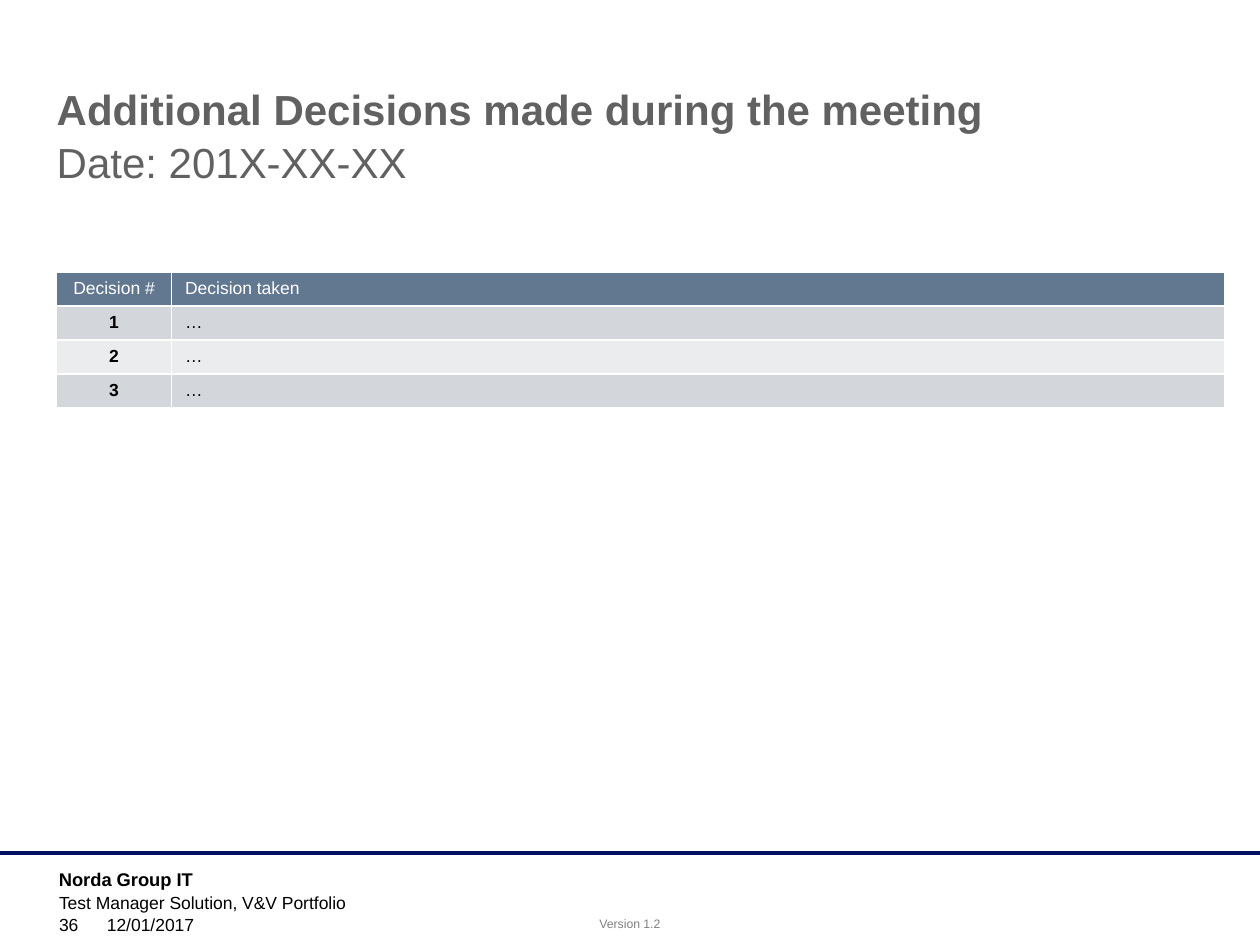
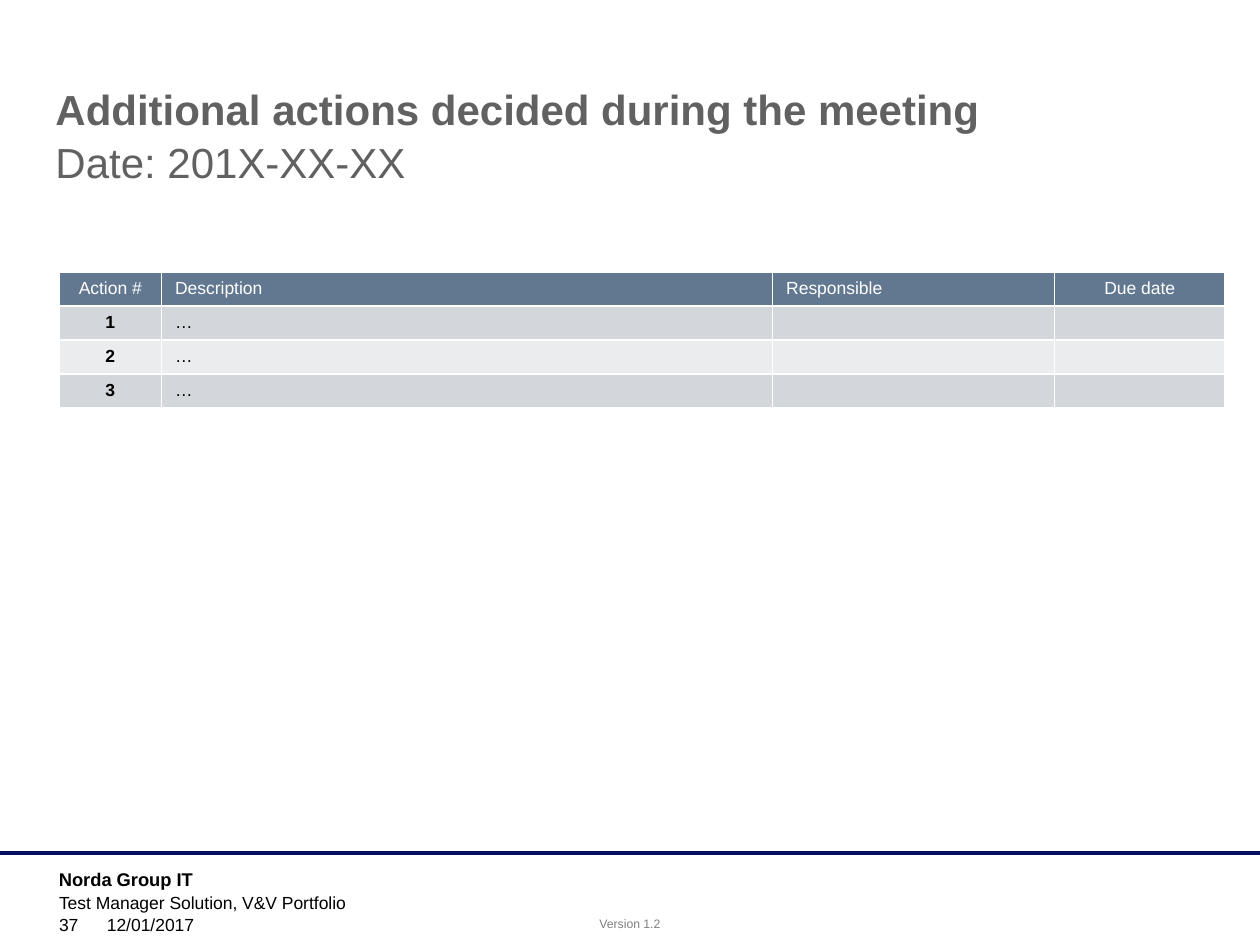
import pptx
import pptx.dml.color
import pptx.enum.shapes
import pptx.enum.text
import pptx.oxml.ns
import pptx.util
from lxml import etree

Inches = pptx.util.Inches
Pt = pptx.util.Pt
qn = pptx.oxml.ns.qn
ALIGN = pptx.enum.text.PP_ALIGN
ANCHOR = pptx.enum.text.MSO_ANCHOR

FONT = "Arial"
BLACK = "000000"
WHITE = "FFFFFF"
TITLE_GRAY = "616161"
VERSION_GRAY = "808080"
RULE_NAVY = "000F60"
HEADER_BLUE = "627890"
BANDS = ("D3D6DB", "EAECEE")

TABLE_TOP = 2.16
ROW_HEIGHT = 0.27
FOOTER_TOP = 6.77


def color(hex_text):
    return pptx.dml.color.RGBColor.from_string(hex_text)


def format_font(font, size, hex_text, bold=False):
    font.name = FONT
    font.size = Pt(size)
    font.bold = bold
    font.color.rgb = color(hex_text)


def add_text(slide, box, text, size, hex_text=BLACK, bold=False,
             align=ALIGN.LEFT, anchor=ANCHOR.TOP, wrap=True):
    shape = slide.shapes.add_textbox(*map(Inches, box))
    frame = shape.text_frame
    frame.text = text
    frame.word_wrap = wrap
    frame.vertical_anchor = anchor
    paragraph = frame.paragraphs[0]
    paragraph.alignment = align
    format_font(paragraph.runs[0].font, size, hex_text, bold)


def add_title(slide, box, heading):
    title = slide.shapes.title
    title.left, title.top, title.width, title.height = map(Inches, box)
    frame = title.text_frame
    frame.text = f"{heading}\vDate: 201X-XX-XX"
    frame.word_wrap = True
    frame.auto_size = pptx.enum.text.MSO_AUTO_SIZE.NONE
    frame.vertical_anchor = ANCHOR.TOP
    paragraph = frame.paragraphs[0]
    paragraph.alignment = ALIGN.LEFT
    paragraph.line_spacing = 1.04
    for run, bold in zip(paragraph.runs, (True, False)):
        format_font(run.font, 24, TITLE_GRAY, bold)


def add_borders(cell):
    properties = cell._tc.get_or_add_tcPr()
    for side in ("lnL", "lnR", "lnT", "lnB"):
        line = etree.SubElement(properties, qn(f"a:{side}"), w=str(Pt(1)))
        fill = etree.SubElement(line, qn("a:solidFill"))
        etree.SubElement(fill, qn("a:srgbClr"), val=WHITE)


def format_cell(cell, text, fill, hex_text, bold, centered):
    add_borders(cell)
    cell.fill.solid()
    cell.fill.fore_color.rgb = color(fill)
    cell.margin_left = cell.margin_right = Inches(0.11)
    cell.margin_top = cell.margin_bottom = Inches(0.05)
    cell.text = text
    paragraph = cell.text_frame.paragraphs[0]
    paragraph.alignment = ALIGN.CENTER if centered else ALIGN.LEFT
    for run in paragraph.runs:
        format_font(run.font, 10, hex_text, bold)
    if not text:
        etree.SubElement(paragraph._p, qn("a:endParaRPr"), sz="1000")


def add_log_table(slide, left, headers, widths, centered_columns):
    blanks = [""] * (len(headers) - 2)
    rows = [headers] + [[str(number), "…"] + blanks for number in range(1, 4)]
    table = slide.shapes.add_table(
        len(rows), len(headers), Inches(left), Inches(TABLE_TOP),
        Inches(sum(widths)), Inches(ROW_HEIGHT * len(rows))).table
    for column, width in zip(table.columns, widths):
        column.width = Inches(width)
    for row_index, row in enumerate(rows):
        is_header = row_index == 0
        fill = HEADER_BLUE if is_header else BANDS[(row_index - 1) % 2]
        for column_index, text in enumerate(row):
            format_cell(table.cell(row_index, column_index), text, fill,
                        WHITE if is_header else BLACK,
                        not is_header and column_index == 0,
                        column_index in centered_columns)


def add_footer(slide, top, page_number):
    rule = slide.shapes.add_connector(
        pptx.enum.shapes.MSO_CONNECTOR.STRAIGHT,
        0, Inches(top), Inches(10), Inches(top))
    rule.line.color.rgb = color(RULE_NAVY)
    rule.line.width = Pt(2)
    etree.SubElement(rule._element.spPr, qn("a:effectLst"))
    add_text(slide, (0.37, top + 0.07, 2.33, 0.24), "Norda Group IT", 10.5,
             bold=True, wrap=False)
    add_text(slide, (4.65, top + 0.45, 0.7, 0.22), "Version 1.2", 7,
             VERSION_GRAY, align=ALIGN.CENTER, wrap=False)
    add_text(slide, (0.37, top + 0.26, 7.52, 0.24),
             "Test Manager Solution, V&V Portfolio", 10)
    add_text(slide, (0.37, top + 0.47, 0.55, 0.23), str(page_number), 10,
             anchor=ANCHOR.BOTTOM)
    add_text(slide, (0.75, top + 0.47, 2.63, 0.23), "12/01/2017", 10,
             anchor=ANCHOR.BOTTOM)


def add_log_slide(presentation, page_number, title_box, heading,
                  table_left, headers, widths, centered_columns):
    slide = presentation.slides.add_slide(presentation.slide_layouts[5])
    add_footer(slide, FOOTER_TOP, page_number)
    add_title(slide, title_box, heading)
    add_log_table(slide, table_left, headers, widths, centered_columns)


def main():
    presentation = pptx.Presentation()
    presentation.slide_width = Inches(10)
    presentation.slide_height = Inches(7.5)
    add_log_slide(presentation, 36, (0.35, 0.6, 9.2, 0.84),
                  "Additional Decisions made during the meeting",
                  0.45, ["Decision #", "Decision taken"], [0.91, 8.36], {0})
    add_log_slide(presentation, 37, (0.34, 0.6, 9.38, 0.84),
                  "Additional actions decided during the meeting",
                  0.47, ["Action #", "Description", "Responsible", "Due date"],
                  [0.81, 4.85, 2.24, 1.35], {0, 3})
    presentation.save("out.pptx")


if __name__ == "__main__":
    main()
